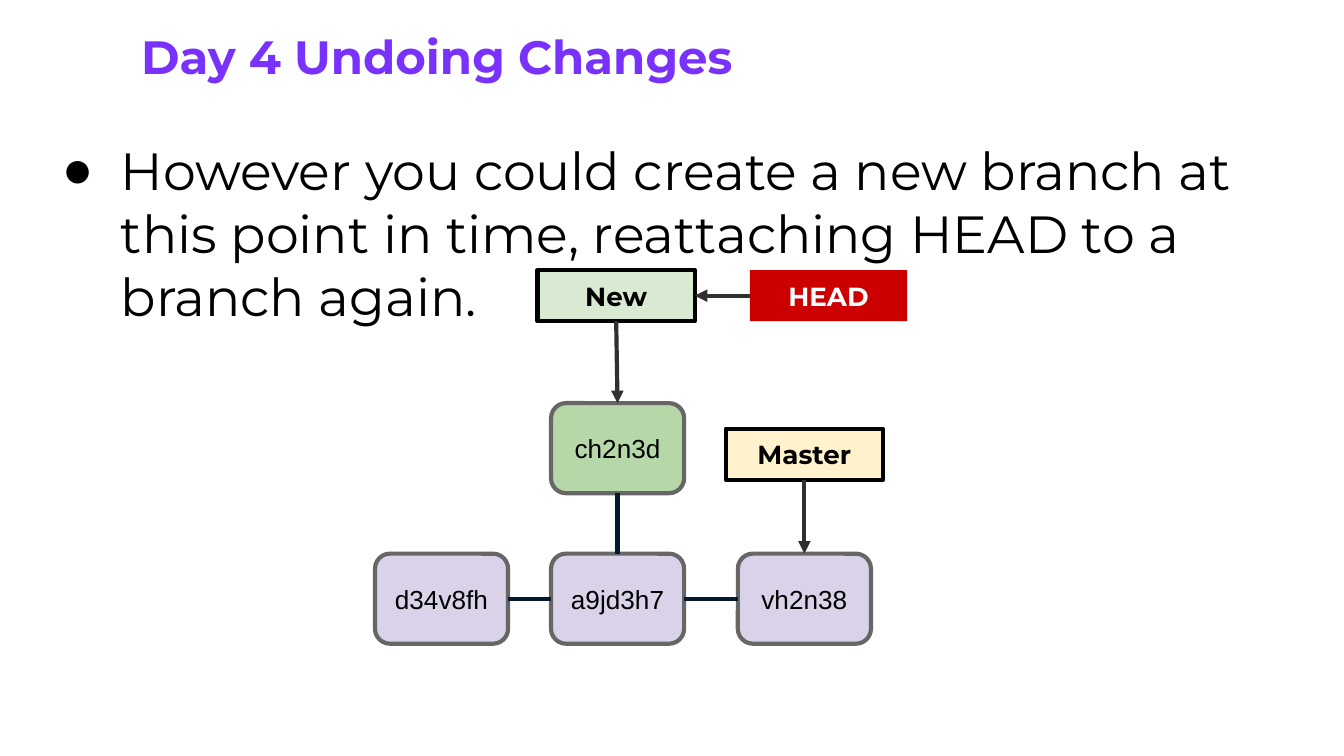
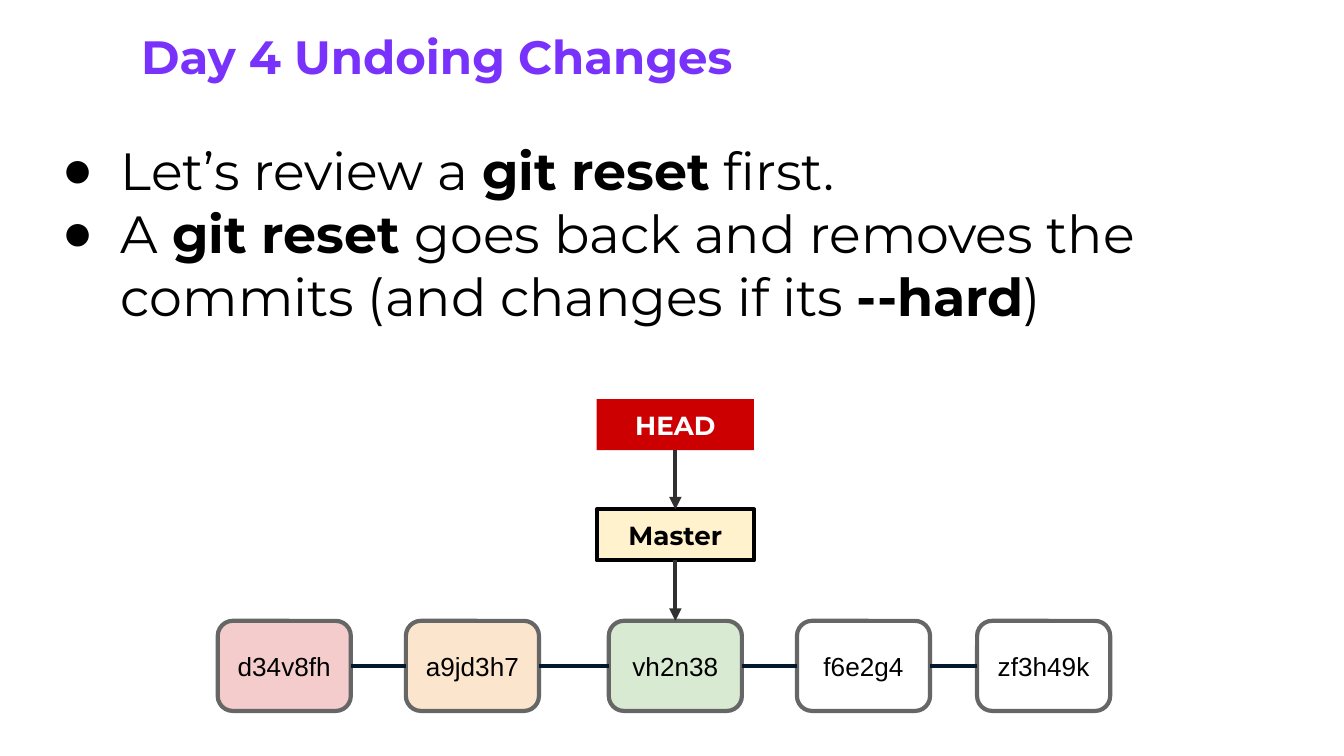
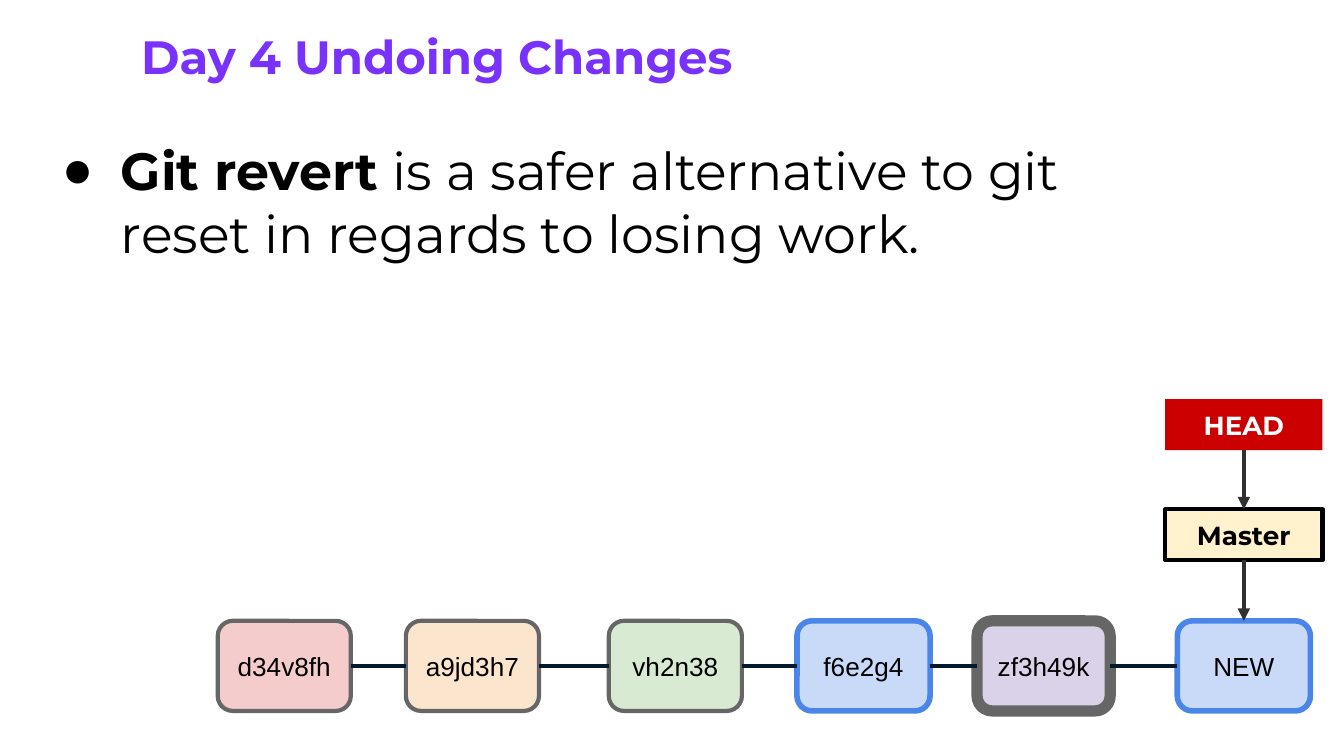
from itertools import pairwise

from lxml import etree
from pptx import Presentation
from pptx.dml.color import RGBColor
from pptx.enum.shapes import MSO_CONNECTOR, MSO_SHAPE
from pptx.enum.text import MSO_ANCHOR, MSO_AUTO_SIZE, PP_ALIGN
from pptx.oxml.ns import qn
from pptx.util import Pt

RECT, ROUND = MSO_SHAPE.RECTANGLE, MSO_SHAPE.ROUNDED_RECTANGLE
ELBOW, LINE = MSO_CONNECTOR.ELBOW, MSO_CONNECTOR.STRAIGHT
TOP, MIDDLE = MSO_ANCHOR.TOP, MSO_ANCHOR.MIDDLE
LEFT, CENTER = PP_ALIGN.LEFT, PP_ALIGN.CENTER
GROW = MSO_AUTO_SIZE.SHAPE_TO_FIT_TEXT

PX = 9144  # 100 px to the inch
WIDE = 1000 * PX
FONT, PLAIN = "Montserrat", "Arial"
PURPLE, BLACK, WHITE, RED = "7932FC", "000000", "FFFFFF", "CC0000"
GRAY, DARK, NAVY, BLUE = "666666", "303030", "05192D", "4A86E8"
PINK, PEACH, CREAM, MINT = "F4CCCC", "FCE5CD", "FFF2CC", "D9EAD3"
GREEN, LILAC, SKY = "B6D7A8", "D9D2E9", "C9DAF8"

# Connection sites of a box
UP, WEST, DOWN, EAST = range(4)


def hue(code):
    return RGBColor.from_string(code)


def fit(item, vals):
    for name, val in vals.items():
        setattr(item, name, val)


# Shared formats
pad = dict.fromkeys(
    ("margin_left", "margin_top", "margin_right", "margin_bottom"), 10 * PX)
frame = {**pad, "word_wrap": True, "vertical_anchor": TOP, "auto_size": GROW}
inner = {**pad, "word_wrap": True, "vertical_anchor": MIDDLE}
para = {"alignment": LEFT, "space_before": Pt(0), "space_after": Pt(0),
        "line_spacing": 1.0}
head_font = {"name": FONT, "size": Pt(25), "bold": True}
list_font = {"name": FONT, "size": Pt(28)}

# Box kinds: shape, width, height, line colour, font colour, font
tag_font = {"name": FONT, "size": Pt(14), "bold": True}
node_font = {"name": PLAIN, "size": Pt(14), "bold": False}
kinds = {
    "node": (ROUND, 99, 67, GRAY, BLACK, node_font),
    "edit": (ROUND, 99, 67, BLUE, BLACK, node_font),
    "tag": (RECT, 117, 38, BLACK, BLACK, tag_font),
    "head": (RECT, 117, 38, None, WHITE, tag_font),
}
widths = {"node": 2.25, "edit": 3, "tag": 2.25}

# Commits shared by the last two slides
ROW = 462
past = [("d34v8fh", "node", 162, ROW, PINK),
        ("a9jd3h7", "node", 302, ROW, PEACH),
        ("vh2n38", "node", 453, ROW, MINT)]
drop = [("HEAD", DOWN, "Master", UP)]

# Each slide: list size, bullets (** marks bold), commits in a row,
# other boxes, arrows, side links
slides = [
    {
        "size": (925, 162),
        "list": ["However you could create a new branch at this point in "
                 "time, reattaching HEAD to a branch again."],
        "row": [("d34v8fh", "node", 279, 412, LILAC),
                ("a9jd3h7", "node", 410, 412, LILAC),
                ("vh2n38", "node", 549, 412, LILAC)],
        "more": [("Master", "tag", 540, 319, CREAM),
                 ("HEAD", "head", 558, 201, RED),
                 ("New", "tag", 400, 201, MINT),
                 ("ch2n3d", "node", 410, 300, GREEN)],
        "arrows": [("Master", DOWN, "vh2n38", UP),
                   ("HEAD", WEST, "New", EAST),
                   ("New", DOWN, "ch2n3d", UP)],
        "links": [("a9jd3h7", UP, "ch2n3d", DOWN)],
    },
    {
        "size": (925, 162),
        "list": ["Let’s review a **git reset** first.",
                 "A **git reset **goes back and removes the commits "
                 "(and changes if its **--hard**)"],
        "row": past + [("f6e2g4", "node", 593, ROW, WHITE),
                       ("zf3h49k", "node", 727, ROW, WHITE)],
        "more": [("Master", "tag", 444, 379, CREAM),
                 ("HEAD", "head", 444, 297, RED)],
        "arrows": drop + [("Master", DOWN, "vh2n38", UP)],
        "links": [],
    },
    {
        "size": (872, 114),
        "list": ["**Git revert **is a safer alternative to git reset in "
                 "regards to losing work."],
        "row": past + [("f6e2g4", "edit", 593, ROW, SKY),
                       ("zf3h49k", "node", 727, ROW, LILAC),
                       ("NEW", "edit", 876, ROW, SKY)],
        "more": [("Master", "tag", 867, 379, CREAM),
                 ("HEAD", "head", 867, 297, RED)],
        "arrows": drop + [("Master", DOWN, "NEW", UP)],
        "links": [],
        "thick": "zf3h49k",
    },
]

deck = Presentation()
fit(deck, {"slide_width": WIDE, "slide_height": WIDE * 9 // 16})

for data in slides:
    slide = deck.slides.add_slide(deck.slide_layouts[1])

    # Title
    title = slide.shapes.title
    fit(title, {"left": 95 * PX, "top": 11 * PX,
                "width": 731 * PX, "height": 62 * PX})
    title.text_frame.text = "Day 4 Undoing Changes"
    fit(title.text_frame, frame)
    line = title.text_frame.paragraphs[0]
    fit(line, para)
    fit(line.runs[0].font, head_font)
    line.runs[0].font.color.rgb = hue(PURPLE)

    # Bullets
    body = slide.placeholders[1]
    wide, high = data["size"]
    fit(body, {"left": 30 * PX, "top": 93 * PX,
               "width": wide * PX, "height": high * PX})
    text = body.text_frame
    fit(text, frame)
    for num, words in enumerate(data["list"]):
        line = text.add_paragraph() if num else text.paragraphs[0]
        fit(line, para)
        props = line._p.get_or_add_pPr()
        props.set("marL", str(50 * PX))
        props.set("indent", str(-44 * PX))
        tint = etree.SubElement(props, qn("a:buClr"))
        etree.SubElement(tint, qn("a:srgbClr"), val=BLACK)
        etree.SubElement(props, qn("a:buFont"), typeface=PLAIN)
        etree.SubElement(props, qn("a:buChar"), char="●")
        for part, piece in enumerate(words.split("**")):
            if piece:
                run = line.add_run()
                run.text = piece
                fit(run.font, {**list_font, "bold": part % 2 == 1})
                run.font.color.rgb = hue(BLACK)

    # Commits and labels
    boxes = {}
    for name, kind, left, top, fill in data["row"] + data["more"]:
        form, wide, high, edge, ink, font = kinds[kind]
        box = slide.shapes.add_shape(
            form, left * PX, top * PX, wide * PX, high * PX)
        boxes[name] = box
        box.shadow.inherit = False
        box.fill.solid()
        box.fill.fore_color.rgb = hue(fill)
        if edge:
            box.line.color.rgb = hue(edge)
            box.line.width = Pt(6 if name == data.get("thick")
                                else widths[kind])
        else:
            box.line.fill.background()
        box.text_frame.text = name
        fit(box.text_frame, inner)
        line = box.text_frame.paragraphs[0]
        line.alignment = CENTER
        fit(line.runs[0].font, font)
        line.runs[0].font.color.rgb = hue(ink)

    # Links between commits, then arrows
    chain = [(one[0], EAST, two[0], WEST)
             for one, two in pairwise(data["row"])]
    for form, shade, joins in ((ELBOW, NAVY, chain + data["links"]),
                               (LINE, DARK, data["arrows"])):
        for start, out, end, into in joins:
            wire = slide.shapes.add_connector(form, 0, 0, 0, 0)
            wire.begin_connect(boxes[start], out)
            wire.end_connect(boxes[end], into)
            wire.line.color.rgb = hue(shade)
            wire.line.width = Pt(2.25)
            if form == LINE:
                etree.SubElement(wire.line._get_or_add_ln(),
                                 qn("a:tailEnd"), type="triangle")
            etree.SubElement(wire._element.spPr, qn("a:effectLst"))

deck.save("out.pptx")
